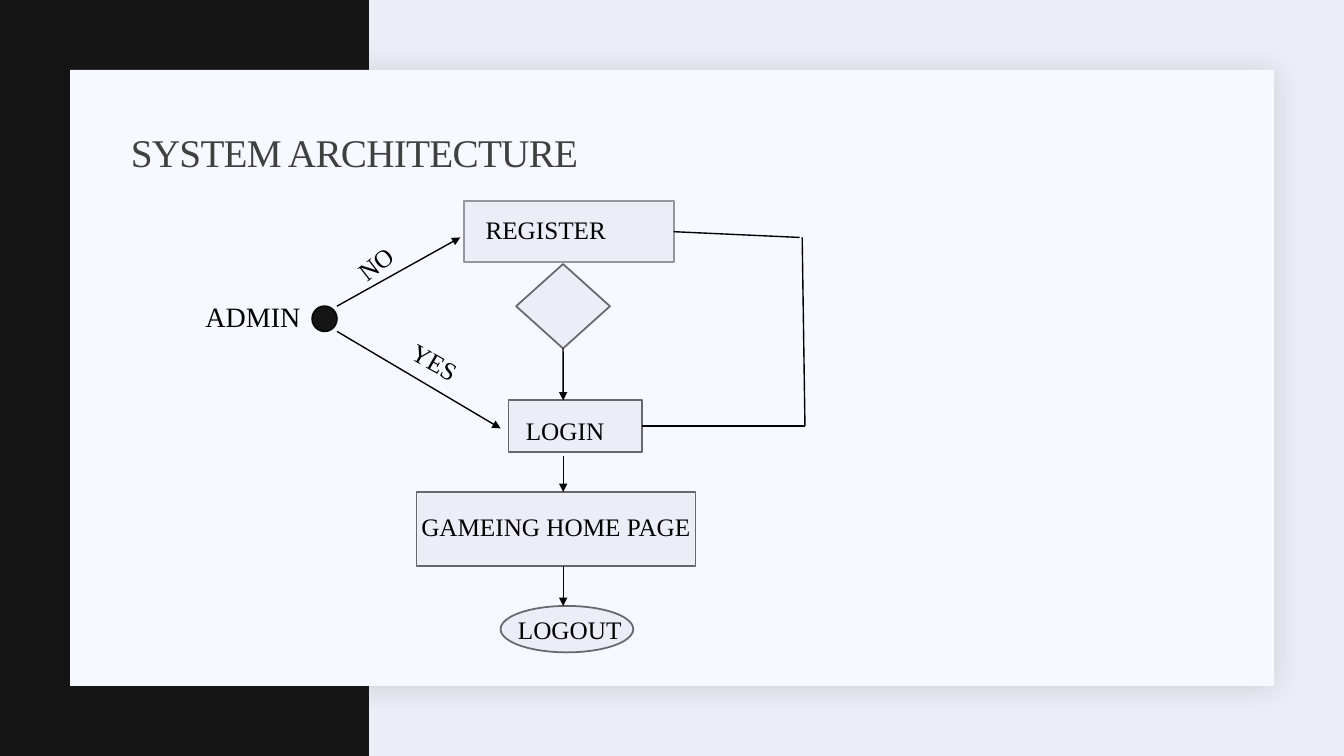
"""Builds the system architecture slide as a flow chart on a light panel."""
from pptx import Presentation
from pptx.dml.color import RGBColor
from pptx.enum.shapes import MSO_CONNECTOR, MSO_SHAPE
from pptx.enum.text import MSO_ANCHOR, MSO_AUTO_SIZE
from pptx.oxml import parse_xml
from pptx.oxml.ns import nsdecls, qn
from pptx.util import Pt
from lxml.etree import SubElement

THEME = {
    "font": "Times New Roman",
    "back": "ECEEF7", "dark": "141514", "panel": "F6F9FF", "shade": "1F2125",
    "edge": "67686C", "soft": "96969C", "rim": "090909",
    "title": "404040", "ink": "000000",
    "head": 28, "actor": 20, "label": 18,
    "border": 1.25, "line": 1,
}
SIZE = (960, 540)
TITLE = ("SYSTEM ARCHITECTURE", (86.4, 74.2, 792, 101.5))

NODES = {
    "band": ("RECTANGLE", (0, 0, 263.5, 540), "dark", None),
    "panel": ("RECTANGLE", (50, 50, 860, 440), "panel", None),
    "choice": ("DIAMOND", (368.7, 188.6, 67, 60.3), "back", "edge"),
    "admin": ("OVAL", (223, 218.7, 17.7, 18), "dark", "rim"),
    "home": ("RECTANGLE", (297.5, 351.4, 199.3, 52.8), "back", "edge"),
    "logout": ("OVAL", (357.6, 432.8, 94.8, 33.2), "back", "edge"),
    "register": ("RECTANGLE", (331.4, 143.8, 149.8, 43.4), "back", "soft"),
    "login": ("RECTANGLE", (363.2, 286, 95.4, 36.8), "back", "edge"),
}

SPINE = 402.3
LINKS = [
    ((SPINE, 248.9), (SPINE, 286), True, ("choice", 2)),
    ((SPINE, 326), (SPINE, 351.4), True, None),
    ((SPINE, 404.2), (SPINE, 432.8), True, None),
    ((240.7, 218.7), (328.8, 169.6), True, None),
    ((240.7, 236.7), (357.6, 306), True, None),
    ((481.2, 165.5), (571.2, 169.6), False, ("register", 3)),
    ((573, 169.6), (575, 304.4), False, None),
    ((458.6, 304.4), (575, 304.4), False, ("login", 3)),
]

LABELS = [
    ("ADMIN", (139.7, 210.2, 133.9, 31.5), 0, "actor"),
    ("YES", (285.1, 249.1, 69.1, 29.1), 29.5, "label"),
    ("NO", (244.8, 164.2, 72, 29.1), 322.3, "label"),
    ("GAMEING HOME PAGE", (293.8, 361.6, 239, 29.1), 0, "label"),
    ("LOGOUT", (362.9, 434.9, 100.8, 29.1), 0, "label"),
    ("REGISTER", (339.8, 149.8, 124.6, 51.1), 0, "label"),
    ("LOGIN", (368.6, 293, 76.3, 29.1), 0, "label"),
]


def tone(key):
    return RGBColor.from_string(THEME[key])


def pts(nums):
    return [Pt(num) for num in nums]


def node(slide, kind, box, fill, edge):
    shape = slide.shapes.add_shape(getattr(MSO_SHAPE, kind), *pts(box))
    shape.shadow.inherit = False
    shape.fill.solid()
    shape.fill.fore_color.rgb = tone(fill)
    if edge:
        shape.line.color.rgb = tone(edge)
        shape.line.width = Pt(THEME["border"])
    else:
        shape.line.fill.background()
    return shape


def shade(shape):
    props = shape.fill._xPr
    props.remove(props.find(qn("a:effectLst")))
    props.append(parse_xml(
        f'<a:effectLst {nsdecls("a")}><a:outerShdw blurRad="{Pt(20)}" '
        f'dist="{Pt(2)}" dir="2700000" algn="tl" rotWithShape="0">'
        f'<a:srgbClr val="{THEME["shade"]}"><a:alpha val="15000"/></a:srgbClr>'
        '</a:outerShdw></a:effectLst>'))


def link(slide, start, end, arrow, join, nodes):
    wire = slide.shapes.add_connector(MSO_CONNECTOR.STRAIGHT, *pts(start + end))
    if join:
        name, side = join
        wire.begin_connect(nodes[name], side)
    wire.line.color.rgb = tone("ink")
    wire.line.width = Pt(THEME["line"])
    if arrow:
        SubElement(wire.line._get_or_add_ln(), qn("a:tailEnd"), type="triangle")
    SubElement(wire._element.spPr, qn("a:effectLst"))


def write(slide, text, box, size, color):
    area = slide.shapes.add_textbox(*pts(box))
    area.text_frame.word_wrap = True
    run = area.text_frame.paragraphs[0].add_run()
    run.text = text
    run.font.name = THEME["font"]
    run.font.size = Pt(THEME[size])
    run.font.color.rgb = tone(color)
    return area, run


def main():
    deck = Presentation()
    deck.slide_width, deck.slide_height = pts(SIZE)
    slide = deck.slides.add_slide(deck.slide_layouts[6])
    slide.background.fill.solid()
    slide.background.fill.fore_color.rgb = tone("back")

    nodes = {name: node(slide, *spec) for name, spec in NODES.items()}
    shade(nodes["panel"])

    area, run = write(slide, *TITLE, "head", "title")
    area.text_frame.vertical_anchor = MSO_ANCHOR.MIDDLE
    area.text_frame.margin_bottom = Pt(33)
    area.text_frame.paragraphs[0].line_spacing = 0.9
    run.font._element.set("spc", "-50")

    for start, end, arrow, join in LINKS:
        link(slide, start, end, arrow, join, nodes)
    for text, box, turn, size in LABELS:
        area, run = write(slide, text, box, size, "ink")
        area.text_frame.auto_size = MSO_AUTO_SIZE.SHAPE_TO_FIT_TEXT
        area.rotation = turn
    deck.save("out.pptx")


if __name__ == "__main__":
    main()
